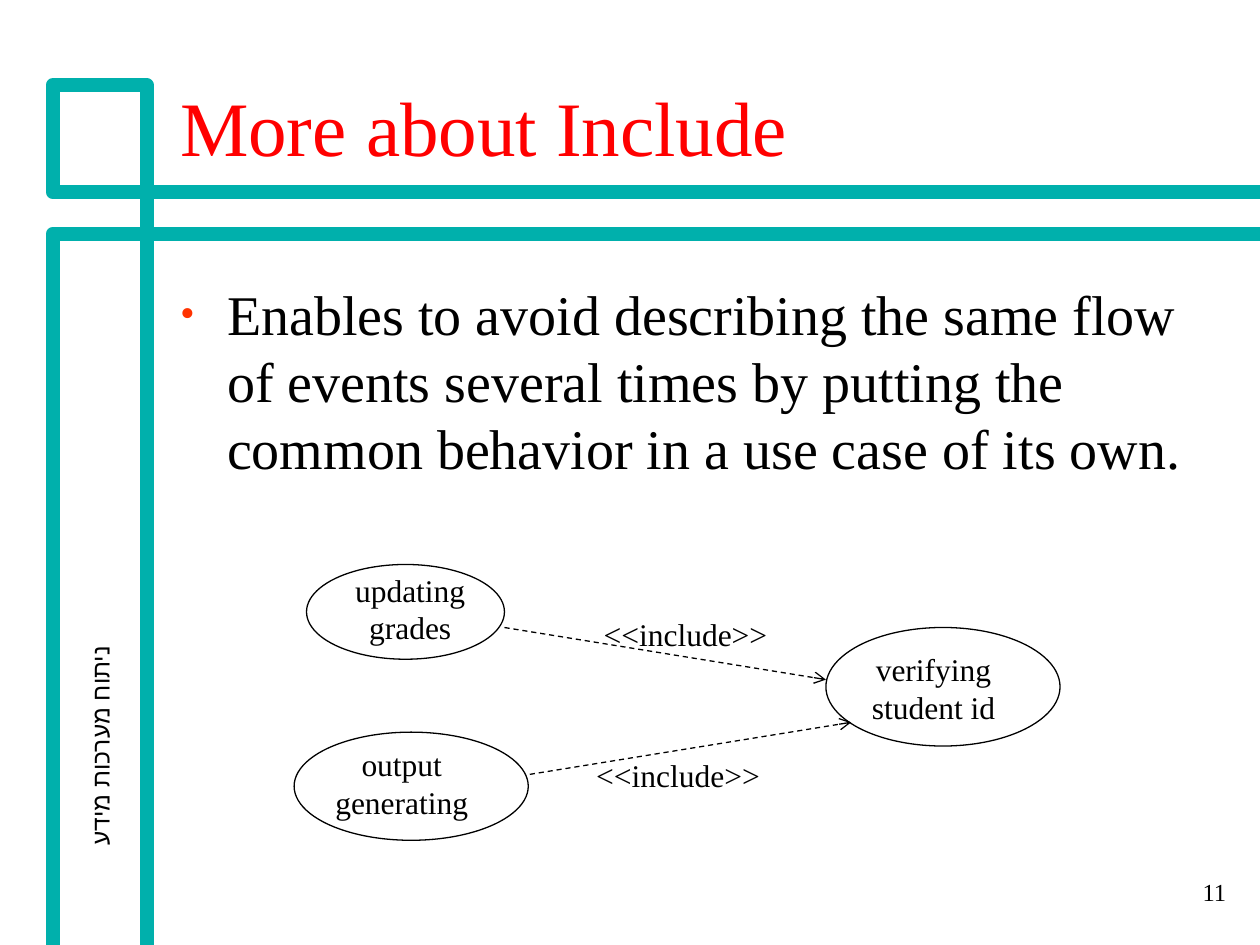
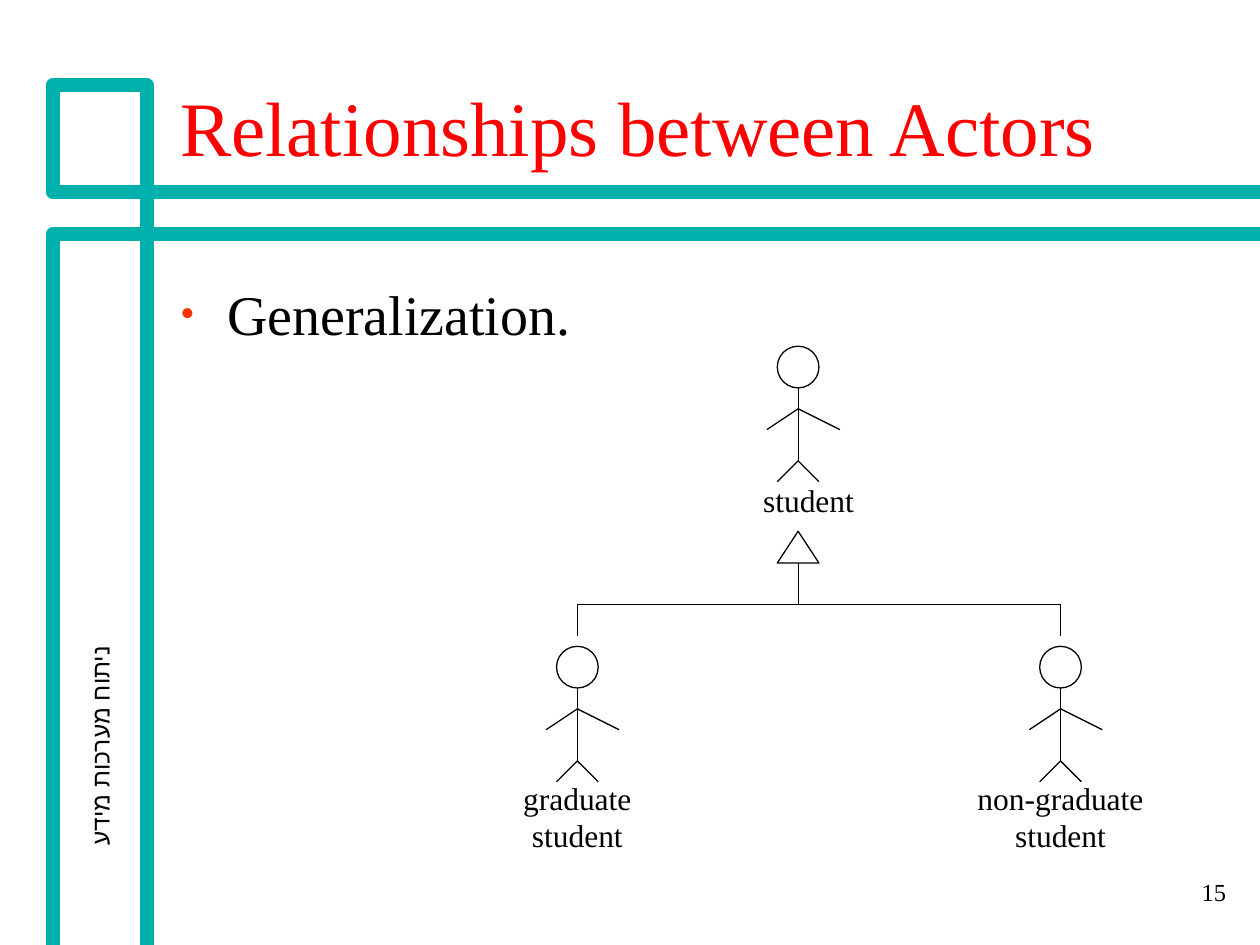
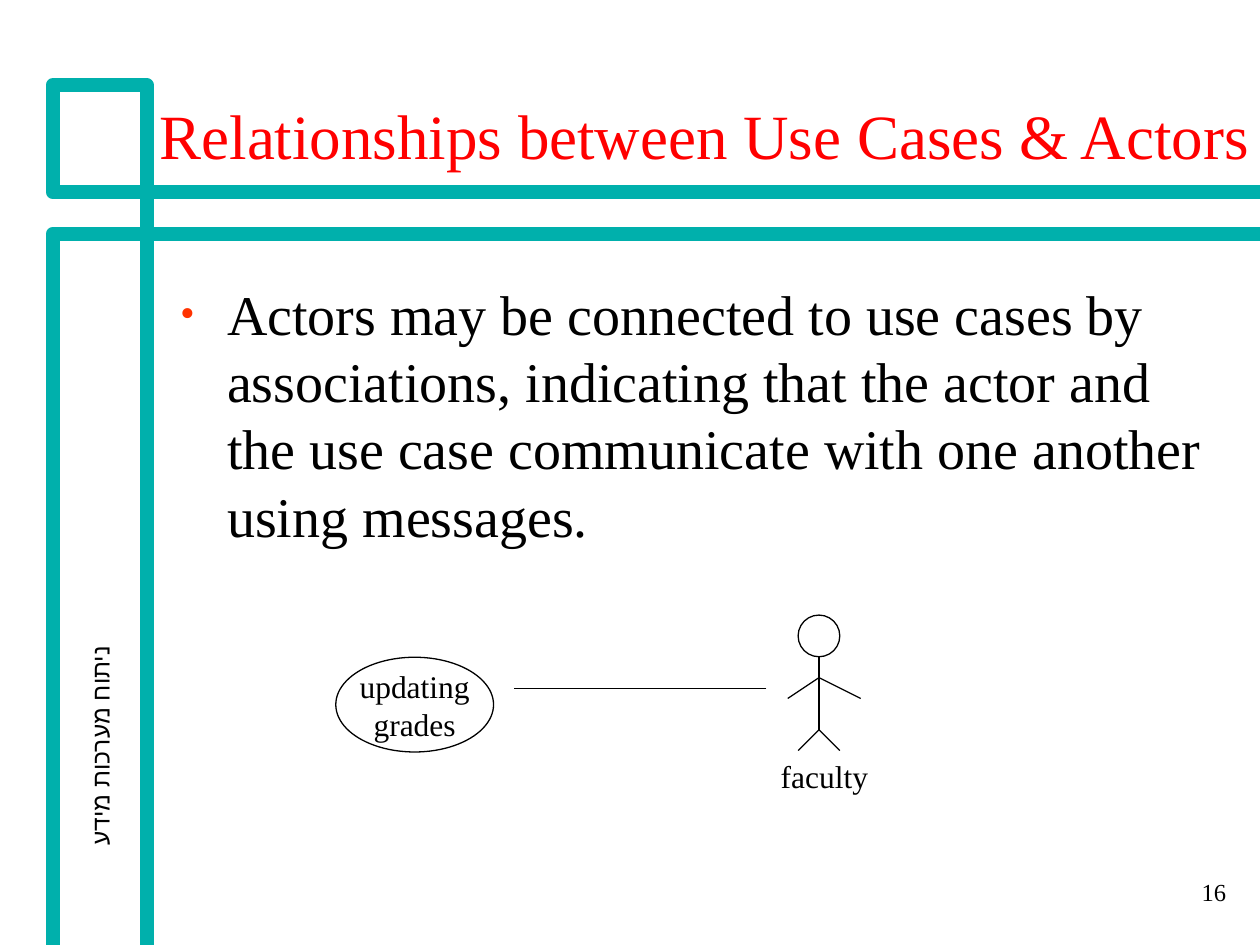
from dataclasses import dataclass
from typing import NamedTuple

from lxml.etree import SubElement
from pptx import Presentation
from pptx.dml.color import RGBColor
from pptx.enum.dml import MSO_LINE
from pptx.enum.shapes import MSO_CONNECTOR, MSO_SHAPE
from pptx.enum.text import MSO_ANCHOR as ANCHOR, PP_ALIGN as ALIGN
from pptx.oxml.ns import qn
from pptx.util import Cm, Pt


@dataclass(frozen=True)
class Theme:
    """Colours, fonts and type sizes of the deck."""
    band: str = "00B0AC"
    title: str = "FF0000"
    bullet: str = "FF3300"
    ink: str = "000000"
    serif: str = "Times New Roman"
    sans: str = "Arial"
    title_size: int = 44
    long_title_size: int = 36
    body_size: int = 32
    label_size: int = 18
    footer_size: int = 14
    band_width: float = 8
    line_width: float = 0.75


class Box(NamedTuple):
    """A rectangle in centimetres."""
    x: float
    y: float
    w: float
    h: float

    def inner(self, x, y, w, h):
        """Return a box whose offset is measured from this one."""
        return Box(self.x + x, self.y + y, w, h)

    def emu(self):
        """Return left, top, width and height as lengths."""
        return [Cm(v) for v in self]


T = Theme()
PAGE = Box(0, 0, 25.4, 19.05)
TITLE = Box(3.38, 0.58, 21.59, 3.02)
WIDE_TITLE = Box(2.97, 0.58, 22.66, 3.02)
BODY = Box(3.38, 5.51, 21.59, 11.43)
SIDE = Box(-2.01, 14.4, 8.05, 1.27)
NUMBER = Box(19.69, 17.35, 5.28, 1.27)
UNIT = 0.42  # module of the stick figure


def rgb(color):
    """Turn a hex string into a colour."""
    return RGBColor.from_string(color)


def stroke(sp, color=T.ink, width=T.line_width):
    """Give a shape or connector a plain solid line."""
    sp.line.color.rgb = rgb(color)
    sp.line.width = Pt(width)


def add_text(s, box, lines, size, font=T.serif, color=T.ink,
             align=ALIGN.LEFT, anchor=ANCHOR.TOP):
    """Add a text box with one paragraph for each line."""
    sp = s.shapes.add_textbox(*box.emu())
    tf = sp.text_frame
    tf.word_wrap = True
    tf.vertical_anchor = anchor
    for i, line in enumerate(lines):
        p = tf.add_paragraph() if i else tf.paragraphs[0]
        p.alignment = align
        r = p.add_run()
        r.text = line
        r.font.size = Pt(size)
        r.font.name = font
        r.font.color.rgb = rgb(color)
        SubElement(r.font._element, qn("a:cs"), typeface=font)
    return sp


def add_label(s, box, *lines, align=ALIGN.CENTER):
    """Add a diagram label."""
    return add_text(s, box, lines, T.label_size, align=align)


def add_outline(s, kind, box):
    """Add an unfilled preset shape."""
    sp = s.shapes.add_shape(kind, *box.emu())
    sp.shadow.inherit = False
    sp.fill.background()
    stroke(sp)
    return sp


def add_line(s, box, x1, y1, x2, y2, arrow=False):
    """Add a line between two points of a box; an arrow is dashed."""
    sp = s.shapes.add_connector(
        MSO_CONNECTOR.STRAIGHT, Cm(box.x + x1), Cm(box.y + y1),
        Cm(box.x + x2), Cm(box.y + y2))
    stroke(sp)
    if arrow:
        sp.line.dash_style = MSO_LINE.DASH
        SubElement(sp.line._get_or_add_ln(), qn("a:tailEnd"), type="arrow")
    SubElement(sp._element.spPr, qn("a:effectLst"))


def add_band(s, points):
    """Add an open thick line with round corners."""
    pts = [(Cm(x), Cm(y)) for x, y in points]
    fb = s.shapes.build_freeform(*pts[0])
    fb.add_line_segments(pts[1:], close=False)
    sp = fb.convert_to_shape()
    sp.shadow.inherit = False
    sp.fill.background()
    stroke(sp, T.band, T.band_width)
    SubElement(sp.line._get_or_add_ln(), qn("a:round"))


def frame(s, box, number):
    """Draw the bands, the side text and the slide number."""
    left, inner, right = box.x + 1.06, box.x + 2.96, box.x + box.w + 0.06
    top, upper, lower = box.y + 1.72, box.y + 3.87, box.y + 4.72
    bottom = box.y + box.h
    add_band(s, [(right, lower), (left, lower), (left, bottom)])
    add_band(s, [(inner, bottom), (inner, top), (left, top),
                 (left, upper), (right, upper)])
    side = add_text(s, SIDE, ["ניתוח מערכות מידע"], T.footer_size, T.sans,
                    align=ALIGN.CENTER, anchor=ANCHOR.MIDDLE)
    side.rotation = 270
    add_text(s, NUMBER, [str(number)], T.footer_size,
             align=ALIGN.RIGHT, anchor=ANCHOR.MIDDLE)


def bullet_text(s, box, text):
    """Add the body text as one bulleted paragraph."""
    sp = add_text(s, box, [text], T.body_size)
    p = sp.text_frame.paragraphs[0]
    p.space_before = Pt(0.2 * T.body_size)
    pPr = p._p.get_or_add_pPr()
    pPr.set("marL", str(Cm(0.95)))
    pPr.set("indent", str(-Cm(0.95)))
    SubElement(SubElement(pPr, qn("a:buClr")), qn("a:srgbClr"), val=T.bullet)
    SubElement(pPr, qn("a:buSzPct"), val="75000")
    SubElement(pPr, qn("a:buFont"), typeface=T.serif)
    SubElement(pPr, qn("a:buChar"), char="•")


def use_case(s, box, label_box, *lines):
    """Draw a use case: an ellipse and its label."""
    add_outline(s, MSO_SHAPE.OVAL, box)
    add_label(s, label_box, *lines)


def actor(s, box, label_box, *lines):
    """Draw a stick figure, centred in a box, and its label."""
    u = UNIT
    mid = box.inner(box.w / 2, 0, 0, 0)
    add_outline(s, MSO_SHAPE.OVAL, mid.inner(-u, 0, 2 * u, 2 * u))
    limbs = [(0, 2, 0, 5.5), (0, 3, 2, 4), (0, 3, -1.5, 4),
             (0, 5.5, 1, 6.5), (0, 5.5, -1, 6.5)]
    for limb in limbs:
        add_line(s, mid, *(u * v for v in limb))
    add_label(s, label_box, *lines)


def actor_box(box, cx, y):
    """Return the box of a stick figure centred on cx."""
    return box.inner(cx - 2 * UNIT, y, 4 * UNIT, 6.5 * UNIT)


def include_diagram(s, box):
    """Draw two use cases that include a third."""
    use_case(s, box.inner(0.25, 0, 3.99, 1.91),
             box.inner(0.51, 0, 3.66, 1.78), "updating", "grades")
    use_case(s, box.inner(0, 3.38, 4.72, 2.18),
             box.inner(0, 3.51, 4.34, 1.78), "output", "generating")
    use_case(s, box.inner(10.72, 1.27, 4.72, 2.39),
             box.inner(10.72, 1.6, 4.34, 1.78), "verifying", "student id")
    add_line(s, box, 4.24, 1.27, 10.72, 2.32, arrow=True)
    add_line(s, box, 4.75, 4.23, 11.23, 3.18, arrow=True)
    for x, y in [(5.99, 0.89), (5.84, 3.73)]:
        add_label(s, box.inner(x, y, 4.83, 1.02), "<<include>>",
                  align=ALIGN.LEFT)


def generalization_diagram(s, box):
    """Draw a parent actor above two specialised ones."""
    left, mid, right = 1.69, 6.14, 11.43
    bar, child = 5.21, 6.05
    actor(s, actor_box(box, mid, 0), box.inner(5.08, 2.59, 2.54, 1.02),
          "student")
    children = [(right, 4.24, "non-graduate"), (left, 3.38, "graduate")]
    for cx, w, name in children:
        actor(s, actor_box(box, cx, child),
              box.inner(cx - w / 2, child + 2.54, w, 1.78), name, "student")
        add_line(s, box, cx, bar + 0.64, cx, bar)
    add_line(s, box, left, bar, right, bar)
    add_outline(s, MSO_SHAPE.ISOSCELES_TRIANGLE,
                box.inner(mid - UNIT, 3.73, 2 * UNIT, 0.64))
    add_line(s, box, mid, 4.37, mid, bar)


def association_diagram(s, box):
    """Draw a use case linked to an actor."""
    use_case(s, box.inner(0, 0.85, 3.18, 1.91),
             box.inner(0, 0.93, 3.18, 1.78), "updating", "grades")
    actor(s, actor_box(box, 9.74, 0), box.inner(8.68, 2.74, 2.34, 1.02),
          "faculty")
    add_line(s, box, 8.68, 1.48, 3.6, 1.48)


def content_slide(prs, number, title, text, diagram, box,
                  title_box=TITLE, title_size=T.title_size):
    """Build a slide from a title, a bullet and a diagram."""
    s = prs.slides.add_slide(prs.slide_layouts[6])
    frame(s, PAGE, number)
    add_text(s, title_box, [title], title_size, color=T.title,
             anchor=ANCHOR.BOTTOM)
    bullet_text(s, BODY, text)
    diagram(s, box)


def main():
    """Build and save the deck."""
    prs = Presentation()
    prs.slide_width, prs.slide_height = Cm(PAGE.w), Cm(PAGE.h)
    content_slide(
        prs, 11, "More about Include",
        "Enables to avoid describing the same flow of events several times "
        "by putting the common behavior in a use case of its own.",
        include_diagram, Box(5.93, 11.38, 15.44, 5.56))
    content_slide(
        prs, 15, "Relationships between Actors", "Generalization.",
        generalization_diagram, Box(9.95, 6.98, 13.55, 10.37))
    content_slide(
        prs, 16, "Relationships between Use Cases & Actors",
        "Actors may be connected to use cases by associations, indicating "
        "that the actor and the use case communicate with one another "
        "using messages.",
        association_diagram, Box(6.77, 12.4, 11.01, 3.76),
        WIDE_TITLE, T.long_title_size)
    prs.save("out.pptx")


main()
